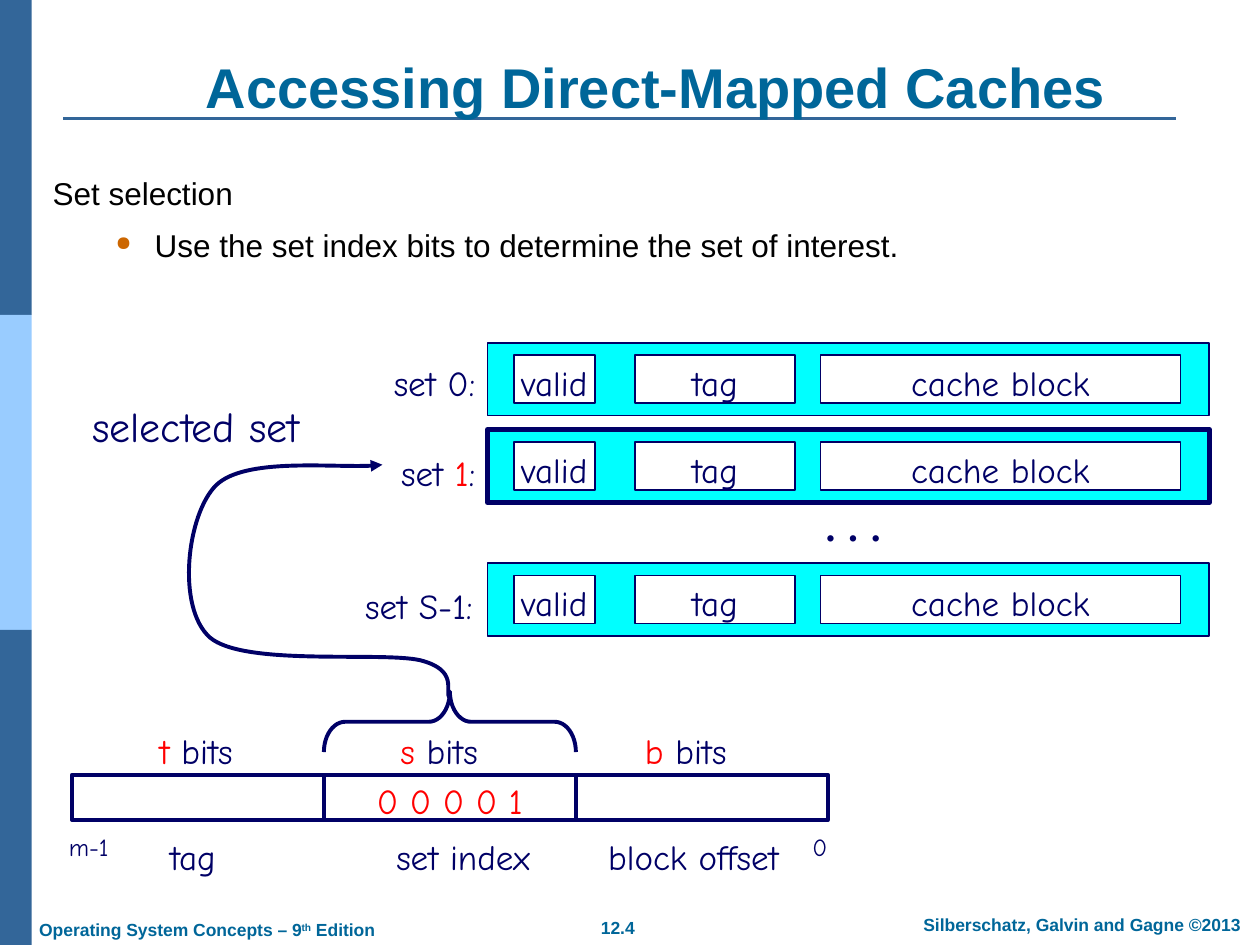
from dataclasses import dataclass

from lxml.etree import SubElement
from pptx import Presentation
from pptx.dml.color import RGBColor
from pptx.enum.shapes import MSO_CONNECTOR, MSO_SHAPE as SHAPE
from pptx.enum.text import MSO_ANCHOR as ANCHOR, MSO_AUTO_SIZE, PP_ALIGN as ALIGN
from pptx.oxml.ns import qn
from pptx.util import Cm, Pt


@dataclass(frozen=True)
class Theme:
    sans: str = "Arial"
    hand: str = "Comic Neue"
    heading: str = "006699"
    bar: str = "336699"
    bar_light: str = "99CCFF"
    bullet: str = "CC6600"
    black: str = "000000"
    white: str = "FFFFFF"
    navy: str = "000066"
    red: str = "FF0000"
    cyan: str = "00FFFF"
    title: int = 32
    callout: int = 24
    label: int = 20
    body: int = 18
    small: int = 14
    footer: int = 10
    thin: float = 1
    medium: float = 2.25
    thick: float = 3


T = Theme()


# Shared helpers
def add_runs(p, runs, size=T.label, color=T.navy, font=T.hand, bold=False):
    """Runs are a string, or a list of strings and (string, color) pairs."""
    for run in [runs] if isinstance(runs, str) else runs:
        text, run_color = (run, color) if isinstance(run, str) else run
        r = p.add_run()
        r.text = text
        r.font.name, r.font.size, r.font.bold = font, Pt(size), bold
        r.font.color.rgb = RGBColor.from_string(run_color)


def write(sp, runs, align=ALIGN.CENTER, anchor=ANCHOR.MIDDLE, wrap=False,
          spacing=1.16, **fmt):
    tf = sp.text_frame
    tf.word_wrap, tf.vertical_anchor = wrap, anchor
    p = tf.paragraphs[0]
    p.alignment, p.line_spacing = align, spacing
    add_runs(p, runs, **fmt)
    return p


def text(s, runs, x, y, w, h, grow=True, **fmt):
    sp = s.shapes.add_textbox(Cm(x), Cm(y), Cm(w), Cm(h))
    p = write(sp, runs, **fmt)
    if grow:
        sp.text_frame.auto_size = MSO_AUTO_SIZE.SHAPE_TO_FIT_TEXT
    return sp, p


def style(sp, fill=None, line=None, width=T.thin):
    sp.shadow.inherit = False
    if fill:
        sp.fill.solid()
        sp.fill.fore_color.rgb = RGBColor.from_string(fill)
    else:
        sp.fill.background()
    if line:
        sp.line.color.rgb = RGBColor.from_string(line)
        sp.line.width = Pt(width)
    else:
        sp.line.fill.background()


def rect(s, x, y, w, h, **look):
    sp = s.shapes.add_shape(SHAPE.RECTANGLE, Cm(x), Cm(y), Cm(w), Cm(h))
    style(sp, **look)
    return sp


def curve(s, start, points):
    """Open Bézier line: every three points are two controls and an end."""
    fb = s.shapes.build_freeform(Cm(start[0]), Cm(start[1]))
    fb.add_line_segments([(Cm(x), Cm(y)) for x, y in points], close=False)
    sp = fb.convert_to_shape()
    style(sp, line=T.navy, width=T.medium)
    outline = sp._element.xpath(".//a:path")[0]
    segments = outline.findall(qn("a:lnTo"))
    for i in range(0, len(segments), 3):
        bezier = SubElement(outline, qn("a:cubicBezTo"))
        for segment in segments[i:i + 3]:
            bezier.append(segment[0])
            outline.remove(segment)
    return sp


# Side bar of three equal bands
def side_bar(s, x, y, w, h):
    band = h / 3
    for i, color in enumerate((T.bar, T.bar_light, T.bar)):
        rect(s, x, y + i * band, w, band, fill=color)


# Title and the rule under it
def header(s, x, y, w, h):
    rule_y = y + 2.03
    line = s.shapes.add_connector(MSO_CONNECTOR.STRAIGHT, Cm(x + 0.15), Cm(rule_y),
                                  Cm(x + 22.58), Cm(rule_y))
    line.line.color.rgb = RGBColor.from_string(T.bar)
    line.line.width = Pt(1.5)
    SubElement(line._element.spPr, qn("a:effectLst"))
    text(s, "Accessing Direct-Mapped Caches", x, y, w, h, grow=False, wrap=True,
         anchor=ANCHOR.BOTTOM, spacing=1, size=T.title, color=T.heading,
         font=T.sans, bold=True)


# Statement with one bullet
def body(s, x, y, w, h):
    plain = dict(size=T.body, color=T.black, font=T.sans)
    sp, _ = text(s, "Set selection", x, y, w, h, grow=False, wrap=True,
                 align=ALIGN.LEFT, anchor=ANCHOR.TOP, spacing=1, **plain)
    p = sp.text_frame.add_paragraph()
    p.space_before = Pt(7.9)
    pPr = p._p.get_or_add_pPr()
    pPr.set("marL", str(Cm(2.06)))
    pPr.set("indent", str(Cm(-0.79)))
    color = SubElement(pPr, qn("a:buClr"))
    SubElement(color, qn("a:srgbClr"), val=T.bullet)
    SubElement(pPr, qn("a:buSzPct"), val="64000")
    SubElement(pPr, qn("a:buChar"), char="●")
    add_runs(p, "Use the set index bits to determine the set of interest.", **plain)


# Cache sets, each a row of three fields
def cache_sets(s, x, y, w):
    row_h = 1.47
    fields = (("valid", 0.53, 1.63), ("tag", 2.97, 3.23), ("cache block", 6.71, 7.26))
    rows = (
        ("set 0:", 0, -2.15, 0.12, 2.16, T.thin),
        (["set ", ("1", T.red), ":"], 1.75, -2, 0.18, 2.01, T.thick),
        ("set S-1:", 4.44, -2.72, 0.17, 2.67, T.thin),
    )
    for label, dy, label_x, label_dy, label_w, border in rows:
        top = y + dy
        rect(s, x, top, w, row_h, fill=T.cyan, line=T.navy, width=border)
        text(s, label, x + label_x, top + label_dy, label_w, 1.24)
        for name, dx, field_w in fields:
            write(rect(s, x + dx, top + 0.25, field_w, 0.97, fill=T.white,
                       line=T.navy), name)
    text(s, "• • •", x + 6.37, y + 3.15, 2, 1.24)


# Address word: three fields with labels above and below
def address(s, x, y, w, h):
    field_w = w / 3
    left_top = dict(align=ALIGN.LEFT, anchor=ANCHOR.TOP)
    fields = (
        ("t", 1.52, "", "tag", 1.73, 1.6),
        ("s", 6.37, "0 0 0 0 1", "set index", 6.29, 3.4),
        ("b", 11.3, "", "block offset", 10.56, 4.1),
    )
    for i, (letter, bits_x, value, name, name_x, name_w) in enumerate(fields):
        sp = rect(s, x + i * field_w, y, field_w, h, line=T.navy, width=T.medium)
        if value:
            write(sp, value, color=T.red)
        text(s, [(letter, T.red), " bits"], x + bits_x, y - 1.18, 2.4, 1.22, **left_top)
        text(s, name, x + name_x, y + 0.97, name_w, 1.22, **left_top)
    for end, center in (("m-1", 0.34), ("0", 15.08)):
        text(s, end, x + center - 0.8, y + 0.93, 1.6, 0.94, size=T.small)

    # Brace over the set index, turned so its tip points up
    brace_w = 1.22
    brace = s.shapes.add_shape(SHAPE.RIGHT_BRACE, Cm(x + 1.5 * field_w - brace_w / 2),
                               Cm(y - 1.07 - field_w / 2), Cm(brace_w), Cm(field_w))
    brace.rotation = 270
    brace.adjustments[0] = 0.35
    style(brace, line=T.navy, width=T.medium)


# Arrow from the brace to the selected set
def selection(s, x, y):
    text(s, "selected set", x, y, 4.72, 1.45, size=T.callout)
    points = (
        (7.37, 6.17), (7.67, 5.74), (6.88, 5.54),
        (6.07, 5.36), (3.33, 5.67), (2.64, 5.08),
        (1.96, 4.47), (2.18, 2.59), (2.77, 2.01),
        (3.35, 1.45), (5.44, 1.7), (6.12, 1.6),
    )
    arrow = curve(s, (x + 7.47, y + 6.3), [(x + dx, y + dy) for dx, dy in points])
    SubElement(arrow.line._get_or_add_ln(), qn("a:tailEnd"), type="triangle")


# Footer line
def footer(s, x, y, h):
    fmt = dict(anchor=ANCHOR.TOP, spacing=1, size=T.footer, color=T.heading,
               font=T.sans, bold=True)
    _, p = text(s, ["Operating System Concepts – 9", "th", " Edition"],
                x, y + 0.1, 8, h, align=ALIGN.LEFT, **fmt)
    p.runs[1].font._element.set("baseline", "30000")
    text(s, "12.4", x + 10.57, y + 0.07, 2.69, h, **fmt)
    text(s, "Silberschatz, Galvin and Gagne ©2013", x + 17.5, y, 7.54, h,
         wrap=True, **fmt)


def main():
    prs = Presentation()
    prs.slide_width, prs.slide_height = Cm(25.4), Cm(19.05)
    s = prs.slides.add_slide(prs.slide_layouts[6])
    side_bar(s, 0, 0, 0.64, 19.05)
    header(s, 1.12, 0.36, 24.21, 2.18)
    body(s, 0.81, 3.39, 23.09, 3)
    address(s, 1.45, 15.62, 15.24, 0.91)
    cache_sets(s, 9.83, 6.91, 14.55)
    selection(s, 1.59, 7.77)
    footer(s, 0.54, 18.3, 0.69)
    prs.save("out.pptx")


if __name__ == "__main__":
    main()
